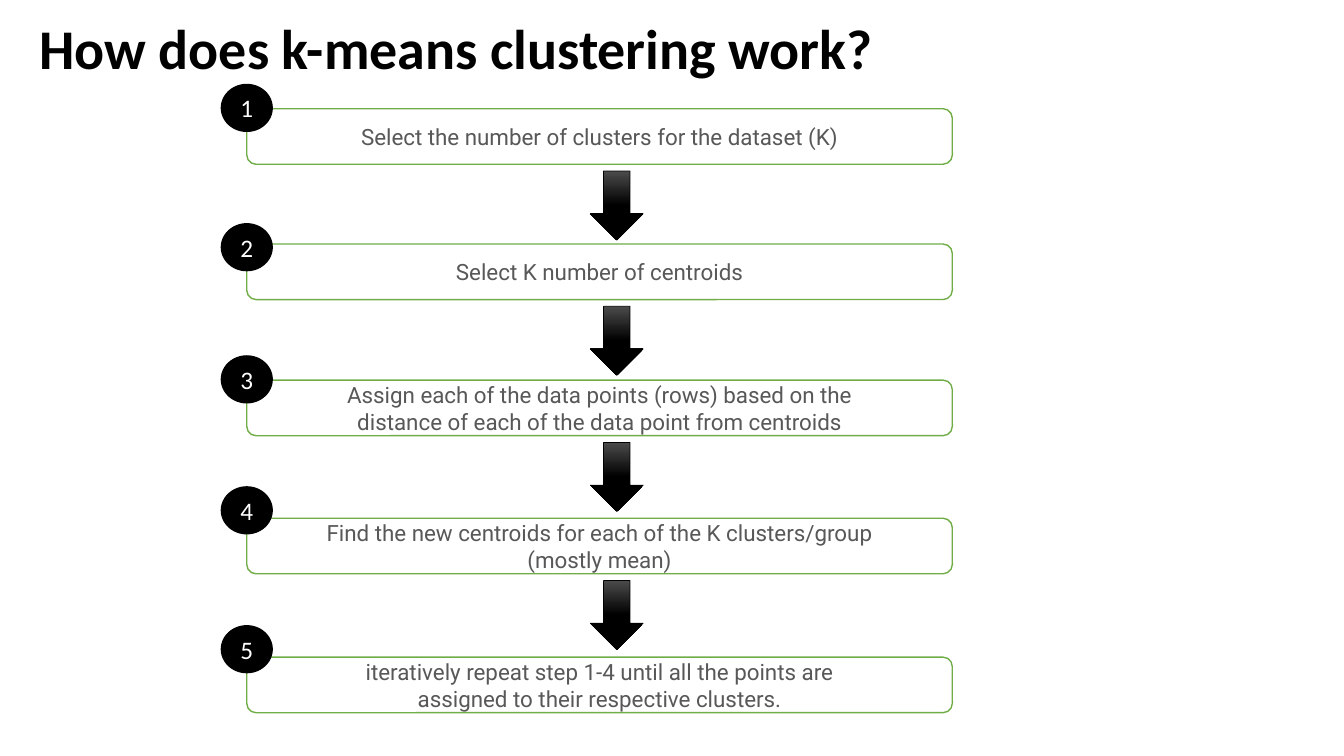
import pptx
import pptx.dml.color
import pptx.enum.shapes
import pptx.enum.text
import pptx.util

Cm = pptx.util.Cm
Pt = pptx.util.Pt
SHAPE = pptx.enum.shapes.MSO_SHAPE
ALIGN = pptx.enum.text.PP_ALIGN
MIDDLE = pptx.enum.text.MSO_ANCHOR.MIDDLE

COLORS = {
    "ink": "000000",
    "paper": "FFFFFF",
    "outline": "70AD47",
    "step": "595858",
    "arrow_top": "4B4B4B",
}

FONTS = {
    "title": {"name": "Calibri", "size": Pt(40), "bold": True},
    "step": {"name": "Roboto", "size": Pt(16), "bold": False},
    "badge": {"name": "Calibri", "size": Pt(18), "bold": False},
}

# Top of the step box, rise of the number badge above it, text lines
STEPS = [
    (2.74, 0.61, ["Select the number of clusters for the dataset (K)"]),
    (6.15, 0.51, ["Select K number of centroids"]),
    (9.58, 0.61, ["Assign each of the data points (rows) based on the",
                  "distance of each of the data point from centroids"]),
    (13.06, 0.79, ["Find the new centroids for each of the K clusters/group",
                   "(mostly mean)"]),
    (16.56, 0.79, ["iteratively repeat step 1-4 until all the points are",
                   "assigned to their respective clusters."]),
]
STEP_LEFT, STEP_WIDTH, STEP_HEIGHT = 6.22, 17.78, 1.4
BADGE_WIDTH, BADGE_HEIGHT = 1.28, 1.18
ARROW_LEFT, ARROW_WIDTH, ARROW_HEIGHT = 8.66, 1.33, 1.74
ARROW_DROP = 1.57


def rgb(color):
    return pptx.dml.color.RGBColor.from_string(COLORS[color])


def write(holder, lines, font, color, align):
    frame = holder.text_frame
    frame.word_wrap = True
    frame.vertical_anchor = MIDDLE
    for index, line in enumerate(lines):
        paragraph = frame.add_paragraph() if index else frame.paragraphs[0]
        paragraph.alignment = align
        run = paragraph.add_run()
        run.text = line
        for attribute, value in FONTS[font].items():
            setattr(run.font, attribute, value)
        run.font.color.rgb = rgb(color)


def add_outlined(slide, preset, box, fill, line, line_width):
    part = slide.shapes.add_shape(preset, *map(Cm, box))
    part.shadow.inherit = False
    part.fill.solid()
    part.fill.fore_color.rgb = rgb(fill)
    part.line.color.rgb = rgb(line)
    part.line.width = Pt(line_width)
    return part


def add_title(slide, left, top, width, height):
    title = slide.shapes.add_textbox(Cm(left), Cm(top), Cm(width), Cm(height))
    title.text_frame.margin_top = Cm(0.03)
    write(title, ["How does k-means clustering work?"], "title", "ink", ALIGN.LEFT)


def add_step(slide, left, top, width, height, number, rise, lines):
    # Step box
    step = add_outlined(slide, SHAPE.ROUNDED_RECTANGLE, (left, top, width, height),
                        "paper", "outline", 1)
    write(step, lines, "step", "step", ALIGN.CENTER)
    # Number badge, centred on the left edge of the box
    badge_box = (left - BADGE_WIDTH / 2, top - rise, BADGE_WIDTH, BADGE_HEIGHT)
    badge = add_outlined(slide, SHAPE.OVAL, badge_box, "ink", "ink", 1)
    write(badge, [str(number)], "badge", "paper", ALIGN.CENTER)


def add_arrow(slide, left, top, width, height):
    arrow = add_outlined(slide, SHAPE.DOWN_ARROW, (left, top, width, height),
                         "ink", "ink", 0.5)
    arrow.fill.gradient()
    arrow.fill.gradient_angle = 270
    shades = [(0, "arrow_top"), (0.5, "ink")]
    for stop, (position, color) in zip(arrow.fill.gradient_stops, shades):
        stop.position = position
        stop.color.rgb = rgb(color)


def add_flow(slide, left, width):
    for number, (top, rise, lines) in enumerate(STEPS, 1):
        add_step(slide, left, top, width, STEP_HEIGHT, number, rise, lines)
        if number < len(STEPS):
            add_arrow(slide, left + ARROW_LEFT, top + ARROW_DROP,
                      ARROW_WIDTH, ARROW_HEIGHT)


def main():
    deck = pptx.Presentation()
    deck.slide_width, deck.slide_height = Cm(33.87), Cm(19.05)
    slide = deck.slides.add_slide(deck.slide_layouts[6])
    add_title(slide, 0.74, 0.28, 23.04, 1.93)
    add_flow(slide, STEP_LEFT, STEP_WIDTH)
    deck.save("out.pptx")


if __name__ == "__main__":
    main()
